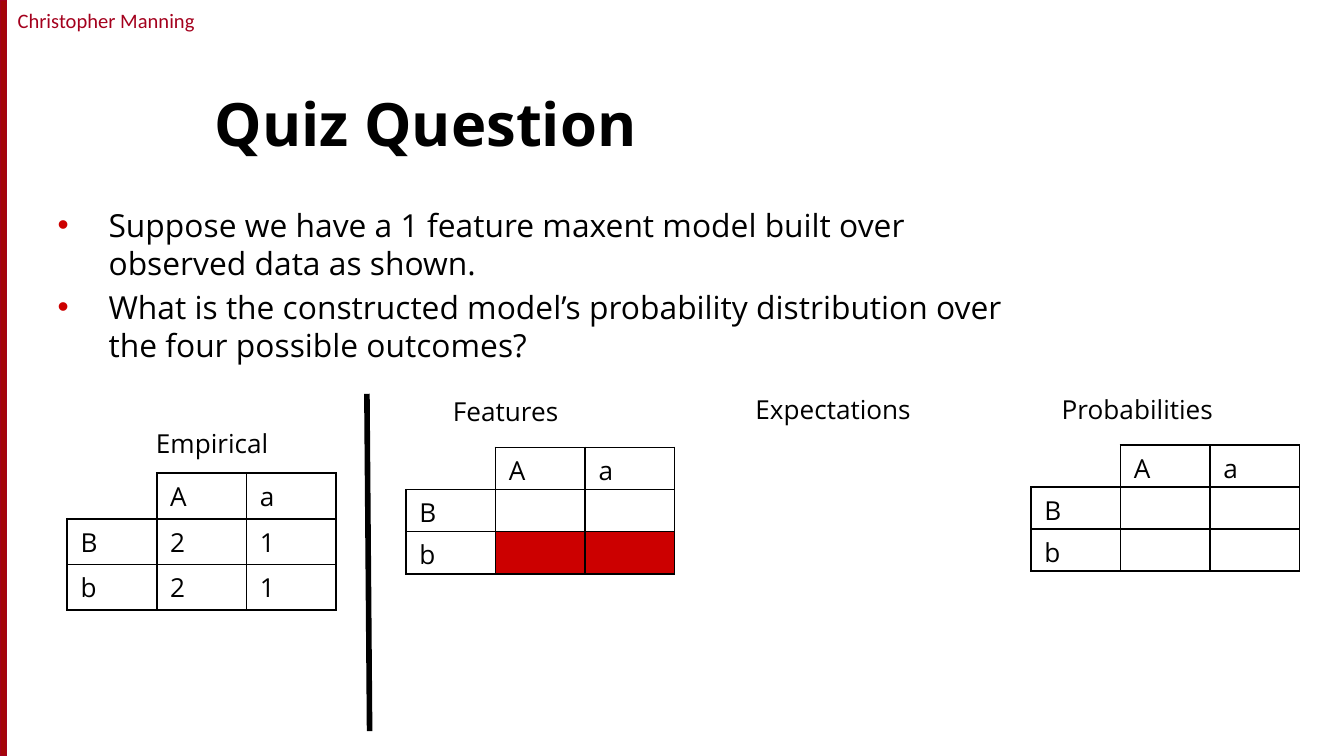
from lxml.etree import SubElement
from pptx import Presentation
from pptx.dml.color import RGBColor
from pptx.enum.shapes import MSO_CONNECTOR as Connector, MSO_SHAPE as Shape
from pptx.enum.text import MSO_ANCHOR as Anchor, PP_ALIGN as Align
from pptx.oxml.ns import qn
from pptx.util import Inches, Pt

BLACK = RGBColor(0x00, 0x00, 0x00)
RED = RGBColor(0xCC, 0x00, 0x00)
BAR_RED = RGBColor(0xA4, 0x05, 0x08)
HEADER_RED = RGBColor(0xA4, 0x00, 0x1D)

SLIDE_WIDTH = Inches(10)
SLIDE_HEIGHT = SLIDE_WIDTH * 9 // 16
CELL_SIZE = 14
TABLE_WIDTH = 2
LABEL_INSETS = (0.08, 0.04, 0.08, 0.04)


def write_text(paragraph, text, size=14, font="Open Sans", color=BLACK, bold=False):
    run = paragraph.add_run()
    run.text = text
    run.font.size = Pt(size)
    run.font.name = font
    run.font.bold = bold
    run.font.color.rgb = color


def add_text_box(slide, box, insets=(0.1, 0.05, 0.1, 0.05), anchor=Anchor.TOP, wrap=True):
    frame = slide.shapes.add_textbox(*map(Inches, box)).text_frame
    frame.word_wrap = wrap
    frame.vertical_anchor = anchor
    (frame.margin_left, frame.margin_top,
     frame.margin_right, frame.margin_bottom) = map(Inches, insets)
    return frame


def add_label(slide, text, left, top, width):
    frame = add_text_box(slide, (left, top, width, 0.31), LABEL_INSETS)
    write_text(frame.paragraphs[0], text)


def add_bullets(slide, box, items):
    frame = add_text_box(slide, box)
    for index, item in enumerate(items):
        paragraph = frame.add_paragraph() if index else frame.paragraphs[0]
        paragraph.space_before = Pt(3.2 if index else 0)
        write_text(paragraph, item, size=17)
        properties = paragraph._p.get_or_add_pPr()
        properties.set("marL", str(Inches(0.38)))
        properties.set("indent", str(-Inches(0.38)))
        bullet_color = SubElement(properties, qn("a:buClr"))
        SubElement(bullet_color, qn("a:srgbClr"), val=str(RED))
        SubElement(properties, qn("a:buFont"), typeface="Arial")
        SubElement(properties, qn("a:buChar"), char="•")


def set_borders(cell, visible_sides):
    properties = cell._tc.get_or_add_tcPr()
    for side in "LRTB":
        line = SubElement(properties, qn(f"a:ln{side}"), w=str(Pt(1)))
        if side in visible_sides:
            fill = SubElement(line, qn("a:solidFill"))
            SubElement(fill, qn("a:srgbClr"), val=str(BLACK))
        else:
            SubElement(line, qn("a:noFill"))


def add_outcome_table(slide, left, top, values, height=0.94, bottom_inset=0, red_row=None):
    rows = [["", "A", "a"], ["B", *values[0]], ["b", *values[1]]]
    table = slide.shapes.add_table(
        3, 3, Inches(left), Inches(top), Inches(TABLE_WIDTH), Inches(height)).table
    table.first_row = table.horz_banding = False
    for column in table.columns:
        column.width = Inches(TABLE_WIDTH / 3)
    for row_index, row in enumerate(rows):
        table.rows[row_index].height = Inches(height / 3)
        for column_index, text in enumerate(row):
            cell = table.cell(row_index, column_index)
            cell.margin_top = Inches(0.04)
            cell.margin_bottom = Inches(bottom_inset)
            set_borders(cell, "LRTB" if row_index or column_index else "RB")
            if row_index == red_row and column_index:
                cell.fill.solid()
                cell.fill.fore_color.rgb = RED
            else:
                cell.fill.background()
            paragraph = cell.text_frame.paragraphs[0]
            if text:
                write_text(paragraph, text, size=CELL_SIZE)
            else:
                SubElement(paragraph._p, qn("a:endParaRPr"), sz=str(CELL_SIZE * 100))


def add_side_bar(slide):
    bar = slide.shapes.add_shape(Shape.RECTANGLE, 0, 0, Inches(0.05), SLIDE_HEIGHT)
    bar.shadow.inherit = False
    bar.fill.solid()
    bar.fill.fore_color.rgb = BAR_RED
    bar.line.color.rgb = HEADER_RED
    bar.line.width = Pt(0.75)


def add_divider(slide, start, end):
    divider = slide.shapes.add_connector(Connector.STRAIGHT, *map(Inches, (*start, *end)))
    divider.line.color.rgb = BLACK
    divider.line.width = Pt(3)
    SubElement(divider._element.spPr, qn("a:effectLst"))


def main():
    presentation = Presentation()
    presentation.slide_width = SLIDE_WIDTH
    presentation.slide_height = SLIDE_HEIGHT
    slide = presentation.slides.add_slide(presentation.slide_layouts[6])

    header = add_text_box(slide, (0.08, 0.01, 1.42, 0.29), (0, 0.05, 0, 0.05), wrap=False)
    header.paragraphs[0].alignment = Align.CENTER
    write_text(header.paragraphs[0], "Christopher Manning", size=11,
               font="Calibri", color=HEADER_RED)
    add_side_bar(slide)

    title = add_text_box(slide, (1.5, 0.42, 8.17, 0.81), anchor=Anchor.BOTTOM)
    write_text(title.paragraphs[0], "Quiz Question", size=32, bold=True)
    add_bullets(slide, (0.33, 1.48, 7.5, 3.65), [
        "Suppose we have a 1 feature maxent model built over observed data as shown.",
        "What is the constructed model’s probability distribution over the four possible outcomes?",
    ])

    empty = [["", ""], ["", ""]]
    add_outcome_table(slide, 0.5, 3.52, [["2", "1"], ["2", "1"]],
                      height=1.02, bottom_inset=0.04)
    add_outcome_table(slide, 3.02, 3.33, empty, red_row=2)
    add_outcome_table(slide, 7.67, 3.31, empty)

    add_label(slide, "Empirical", 1.08, 3.14, 1.58)
    add_label(slide, "Features", 3.29, 2.9, 1.58)
    add_label(slide, "Expectations", 5.54, 2.89, 1.89)
    add_label(slide, "Probabilities", 7.82, 2.89, 1.87)
    add_divider(slide, (2.73, 2.93), (2.75, 5.44))

    presentation.save("out.pptx")


if __name__ == "__main__":
    main()
